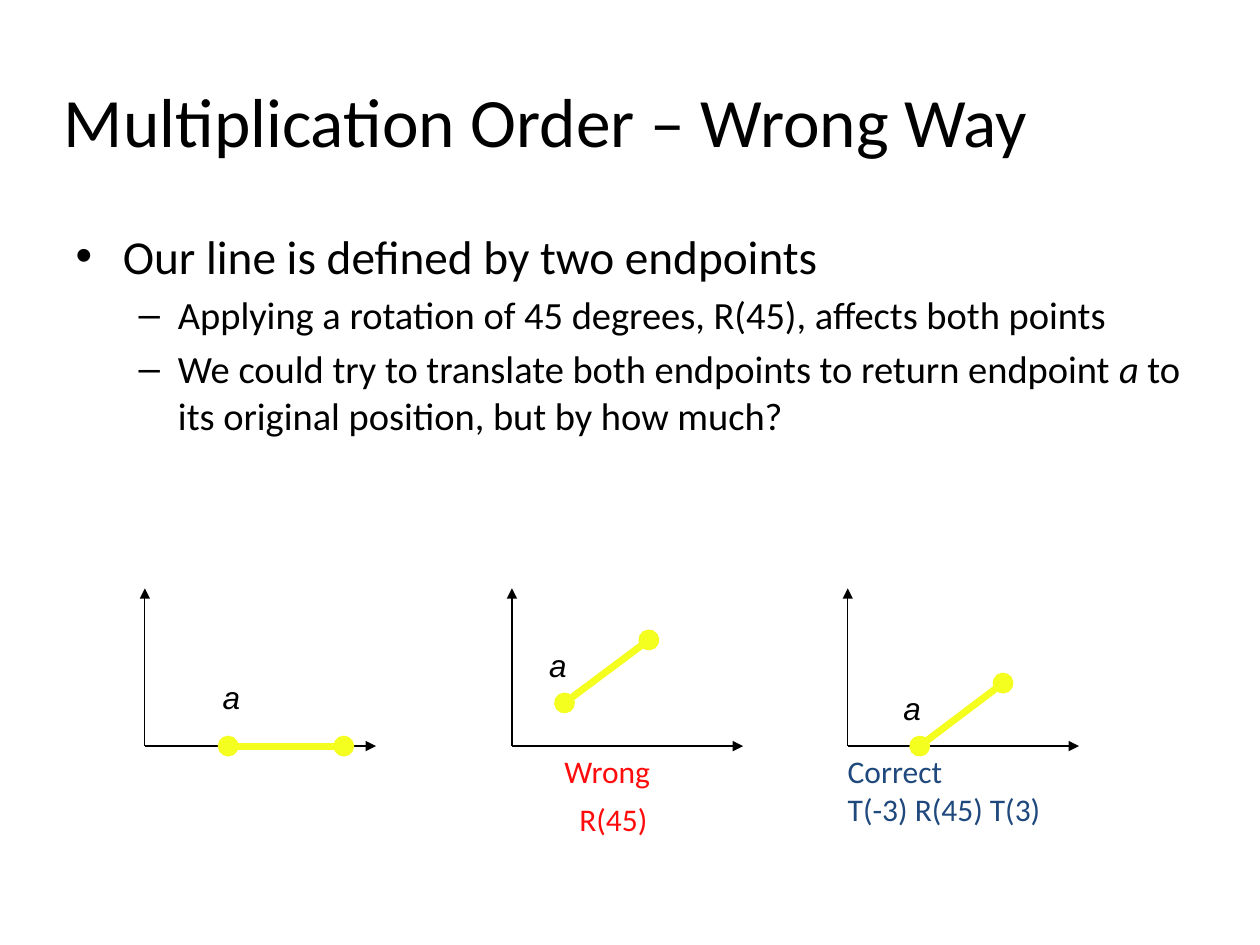
import pptx
import pptx.dml.color
import pptx.enum.shapes
import pptx.enum.text
import pptx.oxml.ns
import pptx.util
from lxml import etree

Cm = pptx.util.Cm
RGBColor = pptx.dml.color.RGBColor

BLACK = RGBColor(0x00, 0x00, 0x00)
YELLOW = RGBColor(0xF4, 0xFF, 0x1F)
RED = RGBColor(0xFF, 0x0B, 0x0B)
NAVY = RGBColor(0x1F, 0x49, 0x7D)

# Shared plot measures in centimetres
BASELINE = 15.04
AXIS_HEIGHT = 3.18
AXIS_WIDTH = 4.66

# Axis origin, segment start and end, corner of the label "a"
PLOTS = [
    (2.92, (4.6, BASELINE), (6.93, BASELINE), (4.24, 13.54)),
    (10.32, (11.38, 14.17), (13.08, 12.9), (10.82, 12.9)),
    (17.09, (18.54, BASELINE), (20.22, 13.77), (17.96, 13.77)),
]

# Lines of text, position and size, colour
CAPTIONS = [
    (["Wrong"], (11.13, BASELINE, 2.26, 1.02), RED),
    (["R(45)"], (11.43, 16, 1.9, 1.02), RED),
    (["Correct", "T(-3) R(45) T(3)"], (16.84, BASELINE, 4.45, 1.8), NAVY),
]

# Outline level and runs of each bullet, italic runs marked True
BULLETS = [
    (0, [("Our line is defined by two endpoints", False)]),
    (1, [("Applying a rotation of 45 degrees, R(45), affects both points", False)]),
    (1, [("We could try to translate both endpoints to return endpoint ", False),
         ("a", True),
         (" to its original position, but by how much?", False)]),
]
LEVEL_SIZES = [27, 22]


def add_text(para, text, size=18, font="Calibri", color=BLACK, italic=False):
    span = para.add_run()
    span.text = text
    span.font.size = pptx.util.Pt(size)
    span.font.name = font
    span.font.color.rgb = color
    span.font.italic = italic


def place(shape, left, top, width, height):
    shape.left, shape.top = Cm(left), Cm(top)
    shape.width, shape.height = Cm(width), Cm(height)


def add_label(page, lines, area, **style):
    box = page.shapes.add_textbox(*map(Cm, area))
    frame = box.text_frame
    frame.word_wrap = False
    frame.auto_size = pptx.enum.text.MSO_AUTO_SIZE.SHAPE_TO_FIT_TEXT
    for index, line in enumerate(lines):
        para = frame.add_paragraph() if index else frame.paragraphs[0]
        add_text(para, line, **style)


def add_line(shapes, start, end, color, weight, **ends):
    line = shapes.add_connector(
        pptx.enum.shapes.MSO_CONNECTOR.STRAIGHT, *map(Cm, start + end))
    line.line.color.rgb = color
    line.line.width = pptx.util.Pt(weight)
    outline = line.line._get_or_add_ln()
    for name, kind in ends.items():
        etree.SubElement(outline, pptx.oxml.ns.qn(f"a:{name}"), type=kind)
    etree.SubElement(line._element.spPr, pptx.oxml.ns.qn("a:effectLst"))


def add_axes(page, left):
    group = page.shapes.add_group_shape()
    origin = (left, BASELINE)
    for tip in [(left, BASELINE - AXIS_HEIGHT), (left + AXIS_WIDTH, BASELINE)]:
        add_line(group.shapes, origin, tip, BLACK, 0.75, tailEnd="triangle")


def fill_title(title):
    place(title, 0.74, 0.83, 20.52, 3.18)
    title.text_frame.auto_size = pptx.enum.text.MSO_AUTO_SIZE.NONE
    para = title.text_frame.paragraphs[0]
    para.alignment = pptx.enum.text.PP_ALIGN.CENTER
    add_text(para, "Multiplication Order – Wrong Way", size=39.6)


def fill_body(body):
    place(body, 1.27, 4.45, 22.86, 12.57)
    frame = body.text_frame
    frame.auto_size = pptx.enum.text.MSO_AUTO_SIZE.NONE
    for index, (level, spans) in enumerate(BULLETS):
        para = frame.add_paragraph() if index else frame.paragraphs[0]
        para.level = level
        for text, italic in spans:
            add_text(para, text, size=LEVEL_SIZES[level], italic=italic)


def main():
    deck = pptx.Presentation()
    deck.slide_width, deck.slide_height = Cm(25.4), Cm(19.05)
    page = deck.slides.add_slide(deck.slide_layouts[1])

    # Title and bullets
    fill_title(page.shapes.title)
    fill_body(page.placeholders[1])

    # Three plots of the line with its endpoint a
    for left, start, end, corner in PLOTS:
        add_axes(page, left)
        add_line(page.shapes, start, end, YELLOW, 4, headEnd="oval", tailEnd="oval")
        add_label(page, ["a"], corner + (0.86, 1.02), font="Arial", italic=True)

    # Captions under the plots
    for lines, area, color in CAPTIONS:
        add_label(page, lines, area, color=color)

    deck.save("out.pptx")


if __name__ == "__main__":
    main()
